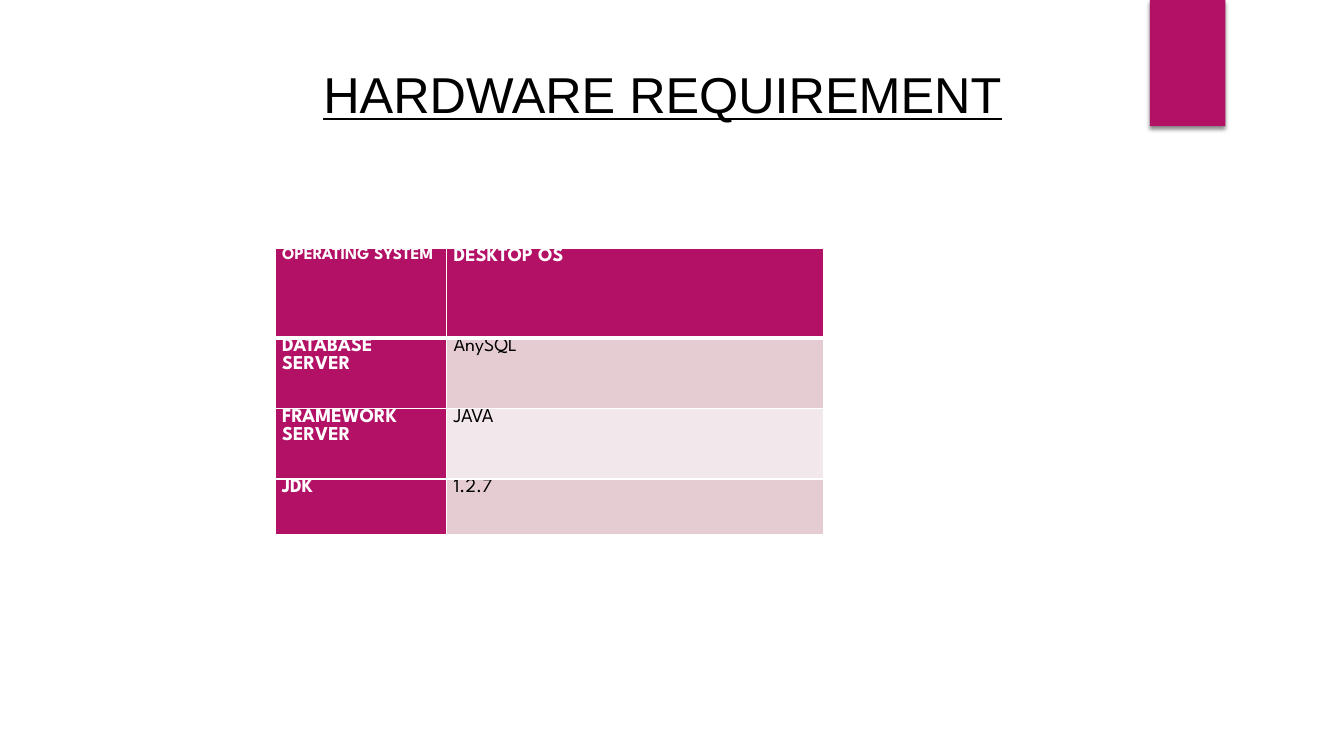
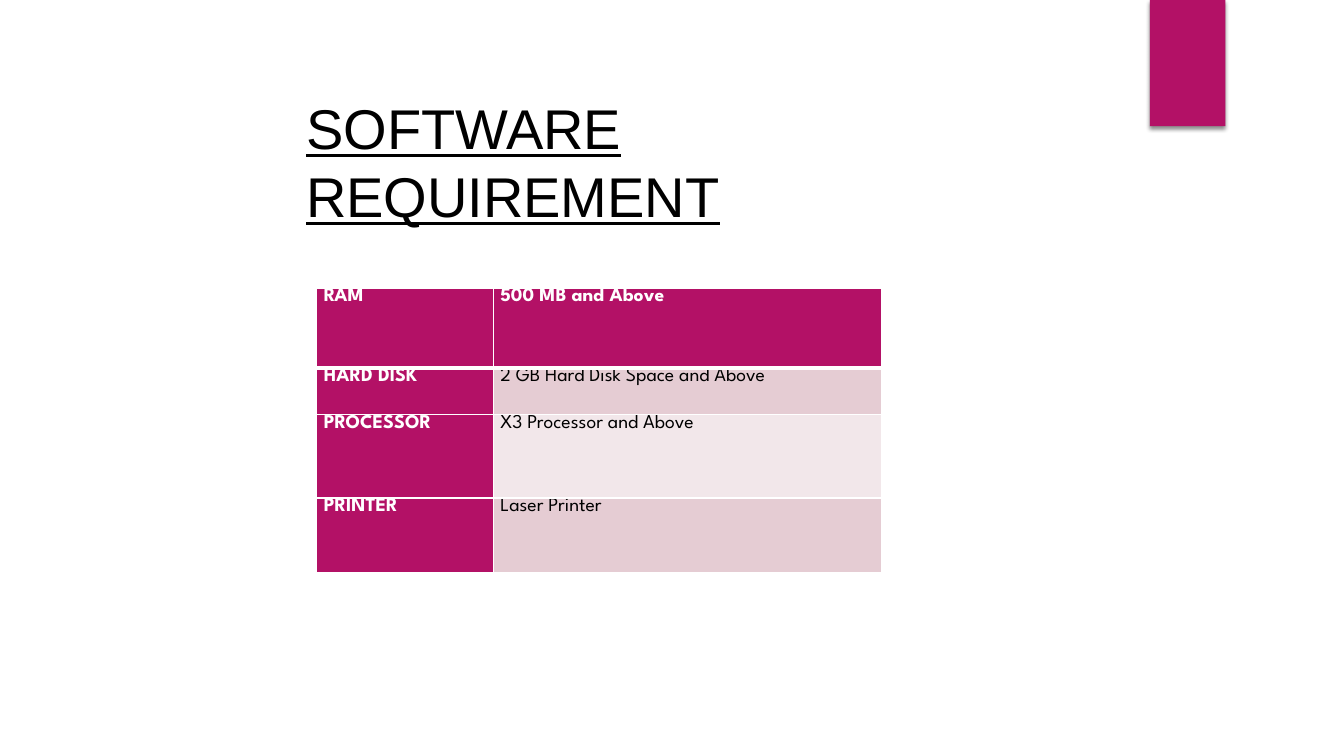
"""Builds two requirement slides, each with a title and a table."""
from lxml import etree
from pptx import Presentation
from pptx.dml.color import RGBColor
from pptx.enum import shapes, text
from pptx.oxml import parse_xml
from pptx.oxml.ns import nsdecls, qn
from pptx.util import Cm, Pt

COLORS = {"accent": "B31166", "band_dark": "E5CCD3", "band_light": "F2E7EA",
          "white": "FFFFFF", "black": "000000"}
TITLE_FONT, TABLE_FONT = "Arial", "League Spartan"


def rgb(name):
    return RGBColor.from_string(COLORS[name])


def set_font(p, name, size, color, bold=False, underline=False):
    f = p.font
    f.name, f.size, f.bold, f.underline = name, Pt(size), bold, underline
    f.color.rgb = rgb(color)


def add_corner_band(s):
    sp = s.shapes.add_shape(shapes.MSO_SHAPE.RECTANGLE, Cm(28.98), 0, Cm(1.9), Cm(3.18))
    sp.shadow.inherit = False
    sp.fill.solid()
    sp.fill.fore_color.rgb = rgb("accent")
    sp.line.fill.background()
    effects = sp._element.spPr.find(qn("a:effectLst"))
    effects.append(parse_xml(
        f'<a:outerShdw {nsdecls("a")} blurRad="{Pt(3)}" dist="{Pt(2)}" dir="5400000" rotWithShape="0">'
        f'<a:srgbClr val="{COLORS["black"]}"><a:alpha val="45000"/></a:srgbClr></a:outerShdw>'))


def add_title(s, title, box, size, spacing=None):
    tf = s.shapes.add_textbox(*map(Cm, box)).text_frame
    tf.word_wrap = True
    tf.vertical_anchor = text.MSO_ANCHOR.MIDDLE
    p = tf.paragraphs[0]
    p.text = title
    p.line_spacing = spacing
    set_font(p, TITLE_FONT, size, "black", underline=True)


def set_borders(cell, row):
    tcPr = cell._tc.get_or_add_tcPr()
    widths = {"L": 1, "R": 1, "T": 3 if row == 1 else 1, "B": 3 if row == 0 else 1}
    for side, width in widths.items():
        ln = etree.SubElement(tcPr, qn(f"a:ln{side}"), w=str(Pt(width)))
        fill = etree.SubElement(ln, qn("a:solidFill"))
        etree.SubElement(fill, qn("a:srgbClr"), val=COLORS["white"])


def fill_cell(cell, value, row, col, size):
    heading = row == 0 or col == 0
    set_borders(cell, row)
    cell.fill.solid()
    band = "band_dark" if row % 2 else "band_light"
    cell.fill.fore_color.rgb = rgb("accent" if heading else band)
    cell.margin_left = cell.margin_right = Cm(0.18)
    cell.margin_top = cell.margin_bottom = 0
    p = cell.text_frame.paragraphs[0]
    p.text = value
    set_font(p, TABLE_FONT, size, "white" if heading else "black", bold=heading)


def add_table(s, left, top, widths, heights, rows, first_size=14):
    tbl = s.shapes.add_table(len(rows), len(widths), Cm(left), Cm(top),
                             Cm(sum(widths)), Cm(sum(heights))).table
    for column, width in zip(tbl.columns, widths):
        column.width = Cm(width)
    for i, (height, values) in enumerate(zip(heights, rows)):
        tbl.rows[i].height = Cm(height)
        for j, value in enumerate(values):
            size = first_size if i == j == 0 else 14
            fill_cell(tbl.cell(i, j), value, i, j, size)


def add_slide(prs):
    s = prs.slides.add_slide(prs.slide_layouts[6])
    add_corner_band(s)
    return s


def main():
    prs = Presentation()
    prs.slide_width, prs.slide_height = Cm(33.87), Cm(19.05)

    s = add_slide(prs)
    add_title(s, "HARDWARE REQUIREMENT", (7.9, 1.45, 18.44, 1.8), 36)
    add_table(s, 6.93, 6.25, (4.32, 9.5), (2.26, 1.78, 1.78, 1.4), [
        ("OPERATING SYSTEM", "DESKTOP OS"),
        ("DATABASE SERVER", "AnySQL"),
        ("FRAMEWORK SERVER", "JAVA"),
        ("JDK", "1.2.7"),
    ], first_size=12)

    s = add_slide(prs)
    add_title(s, "SOFTWARE\vREQUIREMENT", (7.47, 2.24, 17.55, 3.64), 40, Pt(48))
    add_table(s, 7.98, 7.26, (4.45, 9.78), (2.01, 1.17, 2.11, 1.88), [
        ("RAM", "500 MB and Above"),
        ("HARD DISK", "2 GB Hard Disk Space and Above"),
        ("PROCESSOR", "X3 Processor and Above"),
        ("PRINTER", "Laser Printer"),
    ])

    prs.save("out.pptx")


if __name__ == "__main__":
    main()
